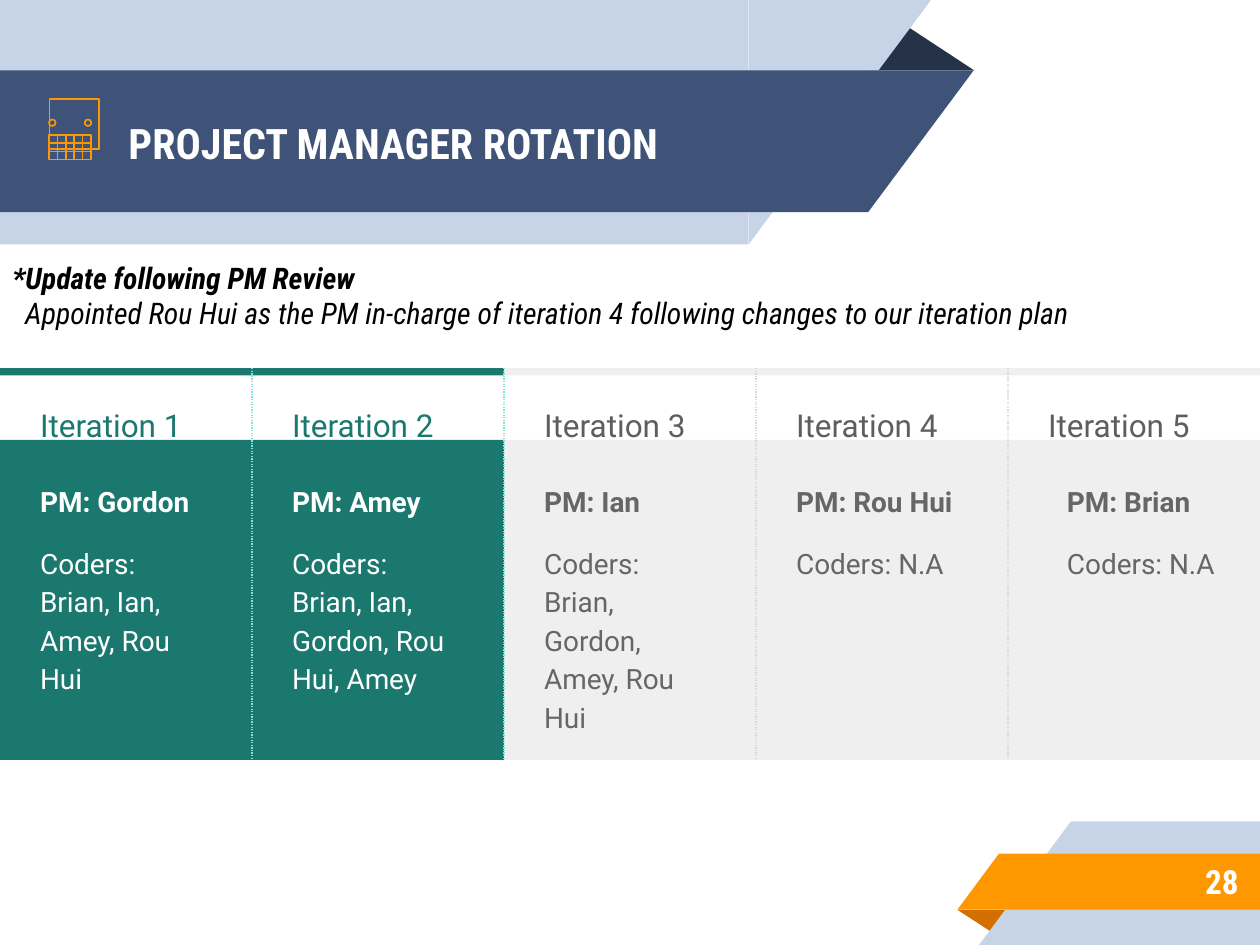
from dataclasses import dataclass
from math import cos, pi, sin

from lxml.etree import SubElement
from pptx import Presentation
from pptx.dml.color import RGBColor as Rgb
from pptx.enum.dml import MSO_LINE as Dash
from pptx.enum.shapes import MSO_CONNECTOR as Link, MSO_SHAPE as Form
from pptx.enum.text import MSO_ANCHOR as Anchor, MSO_AUTO_SIZE as Fit, PP_ALIGN as Align
from pptx.oxml.ns import qn
from pptx.util import Cm, Pt


@dataclass(frozen=True)
class Theme:
    head: str = "Roboto Condensed"
    body: str = "Roboto"
    white: str = "FFFFFF"
    black: str = "000000"
    pale: str = "C7D3E6"
    navy: str = "3F5378"
    night: str = "263248"
    amber: str = "FF9800"
    rust: str = "D26F00"
    green: str = "1B786E"
    mint: str = "83E3D9"
    light: str = "EFEFEF"
    rule: str = "D9D9D9"
    label: str = "5E5E5E"
    grey: str = "666666"
    title_pt: float = 24
    page_pt: float = 19
    label_pt: float = 18
    note_pt: float = 17
    text_pt: float = 16
    dot_pt: float = 0.75
    icon_pt: float = 0.96


@dataclass(frozen=True)
class Box:
    x: float
    y: float
    w: float
    h: float

    def cm(self) -> tuple:
        return Cm(self.x), Cm(self.y), Cm(self.w), Cm(self.h)


@dataclass(frozen=True)
class Style:
    font: str
    size: float
    color: str
    bold: bool = False
    slant: bool = False


@dataclass(frozen=True)
class Turn:
    """One iteration: who manages, who codes."""
    boss: str
    team: str
    done: bool = False
    inset: float = 0.56


T = Theme()
TURNS = [
    Turn("Gordon", "Brian, Ian, Amey, Rou Hui", True),
    Turn("Amey", "Brian, Ian, Gordon, Rou Hui, Amey", True),
    Turn("Ian", "Brian, Gordon, Amey, Rou Hui"),
    Turn("Rou Hui", "N.A"),
    Turn("Brian", "N.A", inset=0.94),
]


def block(shapes, form, box: Box, color: str):
    item = shapes.add_shape(form, *box.cm())
    item.shadow.inherit = False
    item.fill.solid()
    item.fill.fore_color.rgb = Rgb.from_string(color)
    item.line.fill.background()
    return item


def fold(shapes, box: Box, color: str, turn: int = 0) -> None:
    item = block(shapes, Form.ISOSCELES_TRIANGLE, box, color)
    item.adjustments[0] = 0.324
    item.rotation = turn


def ribbon(shapes, box: Box, slope: float, color: str, top: bool) -> None:
    """A band with a slanted end: on the right at the top, else on the left."""
    block(shapes, Form.RECTANGLE, box, color)
    x = box.x + box.w if top else box.x - slope
    end = block(shapes, Form.RIGHT_TRIANGLE, Box(x, box.y, slope, box.h), color)
    end._element.spPr.xfrm.set("flipV" if top else "flipH", "1")


def line(shapes, x1: float, y1: float, x2: float, y2: float, color: str, width: float):
    item = shapes.add_connector(Link.STRAIGHT, Cm(x1), Cm(y1), Cm(x2), Cm(y2))
    item.line.color.rgb = Rgb.from_string(color)
    item.line.width = Pt(width)
    SubElement(item._element.spPr, qn("a:effectLst"))
    return item


def ink(item) -> None:
    item.shadow.inherit = False
    item.fill.background()
    item.line.color.rgb = Rgb.from_string(T.amber)
    item.line.width = Pt(T.icon_pt)


def trace(shapes, dots: list, close: bool = False) -> None:
    pen = shapes.build_freeform(*dots[0], scale=Cm(1))
    pen.add_line_segments(dots[1:], close=close)
    ink(pen.convert_to_shape())


def arc(x: float, y: float, r: float, start: float, stop: float) -> list:
    """Points on a circle; angles in half turns, clockwise from the right."""
    turns = [start + (stop - start) * i / 8 for i in range(9)]
    return [(x + r * cos(pi * t), y + r * sin(pi * t)) for t in turns]


def frame(item, pad: float, anchor=Anchor.TOP):
    tf = item.text_frame
    tf.word_wrap = True
    tf.auto_size = Fit.NONE
    tf.vertical_anchor = anchor
    tf.margin_left = tf.margin_right = tf.margin_top = tf.margin_bottom = Cm(pad)
    return tf


def write(para, text: str, style: Style) -> None:
    run = para.add_run()
    run.text = text
    font = run.font
    font.name, font.size = style.font, Pt(style.size)
    font.bold, font.italic = style.bold, style.slant
    font.color.rgb = Rgb.from_string(style.color)


def label(shapes, box: Box, text: str, style: Style, loose: bool = False) -> None:
    para = frame(shapes.add_textbox(*box.cm()), 0.25).paragraphs[0]
    if loose:
        para.line_spacing, para.space_after = 1.15, Pt(16)
    write(para, text, style)


def column(shapes, i: int, turn: Turn) -> None:
    wide, top = 5.08, 7.42
    x = i * wide
    fill, name, text, dots = ((T.green, T.green, T.white, T.mint) if turn.done
                              else (T.light, T.label, T.grey, T.rule))
    block(shapes, Form.RECTANGLE, Box(x, 8.87, wide, 6.45), fill)
    block(shapes, Form.RECTANGLE, Box(x, top, wide, 0.15), fill)
    if i < len(TURNS) - 1:
        edge = line(shapes, x + wide, top, x + wide, 15.3, dots, T.dot_pt)
        edge.line.dash_style = Dash.ROUND_DOT
    label(shapes, Box(x + 0.56, 7.82, 4.1, 0.71), f"Iteration {i + 1}",
          Style(T.body, T.label_pt, name), True)
    left = x + turn.inset
    label(shapes, Box(left, 9.51, 3.94, 1.15), f"PM: {turn.boss}",
          Style(T.body, T.text_pt, text, True))
    label(shapes, Box(left, 10.66, 3.94, 3.98), f"Coders: {turn.team}",
          Style(T.body, T.text_pt, text), True)


def calendar(shapes) -> None:
    left, right, mid, low, r = 0.84, 1.98, 2.59, 3.35, 0.06
    trace(shapes, [(left, mid), (left, 2.39), (right, 2.39), (right, mid)])
    trace(shapes, [(left, mid), (right, mid)]
          + arc(right - r, low - r, r, 0, 0.5) + arc(left + r, low - r, r, 0.5, 1), True)
    trace(shapes, arc(right - r, 3.34, r, 0, 0.5) + arc(left + r, 3.34, r, 0.5, 1))
    # Rings and hooks
    for x in (0.99, 1.71):
        ink(shapes.add_shape(Form.OVAL, *Box(x, 2.41, 0.13, 0.13).cm()))
        trace(shapes, arc(x + 0.1, 2.37, 0.04, 0, -1) + arc(x + 0.1, 2.48, 0.04, 1, 0.5))
    # Day grid
    x, y, w, h = 0.99, 2.72, 0.84, 0.5
    ink(shapes.add_shape(Form.RECTANGLE, *Box(x, y, w, h).cm()))
    for i in (1, 2):
        line(shapes, x, y + h * i / 3, x + w, y + h * i / 3, T.amber, T.icon_pt)
    for i in range(1, 5):
        line(shapes, x + w * i / 5, y, x + w * i / 5, y + h, T.amber, T.icon_pt)


def main() -> None:
    deck = Presentation()
    deck.slide_width, deck.slide_height = Cm(25.4), Cm(19.05)
    slide = deck.slides.add_slide(deck.slide_layouts[5])
    shapes = slide.shapes

    # Ribbons at foot and head
    fold(shapes, Box(19.3, 18.34, 1.09, 0.48), T.rust, 180)
    ribbon(shapes, Box(21.59, 16.56, 3.81, 2.49), 1.85, T.pale, False)
    ribbon(shapes, Box(20.14, 17.21, 5.26, 1.13), 0.84, T.amber, False)
    fold(shapes, Box(17.48, 0.46, 2.16, 0.96), T.night)
    ribbon(shapes, Box(0, 0, 15.09, 4.93), 3.68, T.pale, True)
    ribbon(shapes, Box(0, 1.42, 17.5, 2.86), 2.13, T.navy, True)

    # Title, raised above the ribbons
    title = shapes.title
    title.left, title.top, title.width, title.height = Box(2.26, 1.45, 15.27, 2.84).cm()
    shapes._spTree.append(title._element)
    para = frame(title, 0.33, Anchor.MIDDLE).paragraphs[0]
    para.alignment = Align.LEFT
    write(para, "PROJECT MANAGER ROTATION", Style(T.head, T.title_pt, T.white, True))

    # Page number
    page = shapes.add_textbox(*Box(21.16, 17.17, 4.14, 1.17).cm())
    para = frame(page, 0.33, Anchor.MIDDLE).paragraphs[0]
    para.alignment = Align.RIGHT
    write(para, "28", Style(T.head, T.page_pt, T.white, True))

    # Iterations, last one first so that each rule lies on top
    for i, turn in reversed(list(enumerate(TURNS))):
        column(shapes, i, turn)
    calendar(shapes)

    # Review note
    tf = frame(shapes.add_textbox(*Box(0, 4.98, 22.38, 2.95).cm()), 0.25)
    write(tf.paragraphs[0], "*Update following PM Review",
          Style(T.head, T.note_pt, T.black, True, True))
    para = tf.add_paragraph()
    para._p.get_or_add_pPr().set("marL", str(Cm(0.26)))
    write(para, "Appointed Rou Hui as the PM in-charge of iteration 4 following "
          "changes to our iteration plan", Style(T.head, T.note_pt, T.black, False, True))

    deck.save("out.pptx")


if __name__ == "__main__":
    main()
